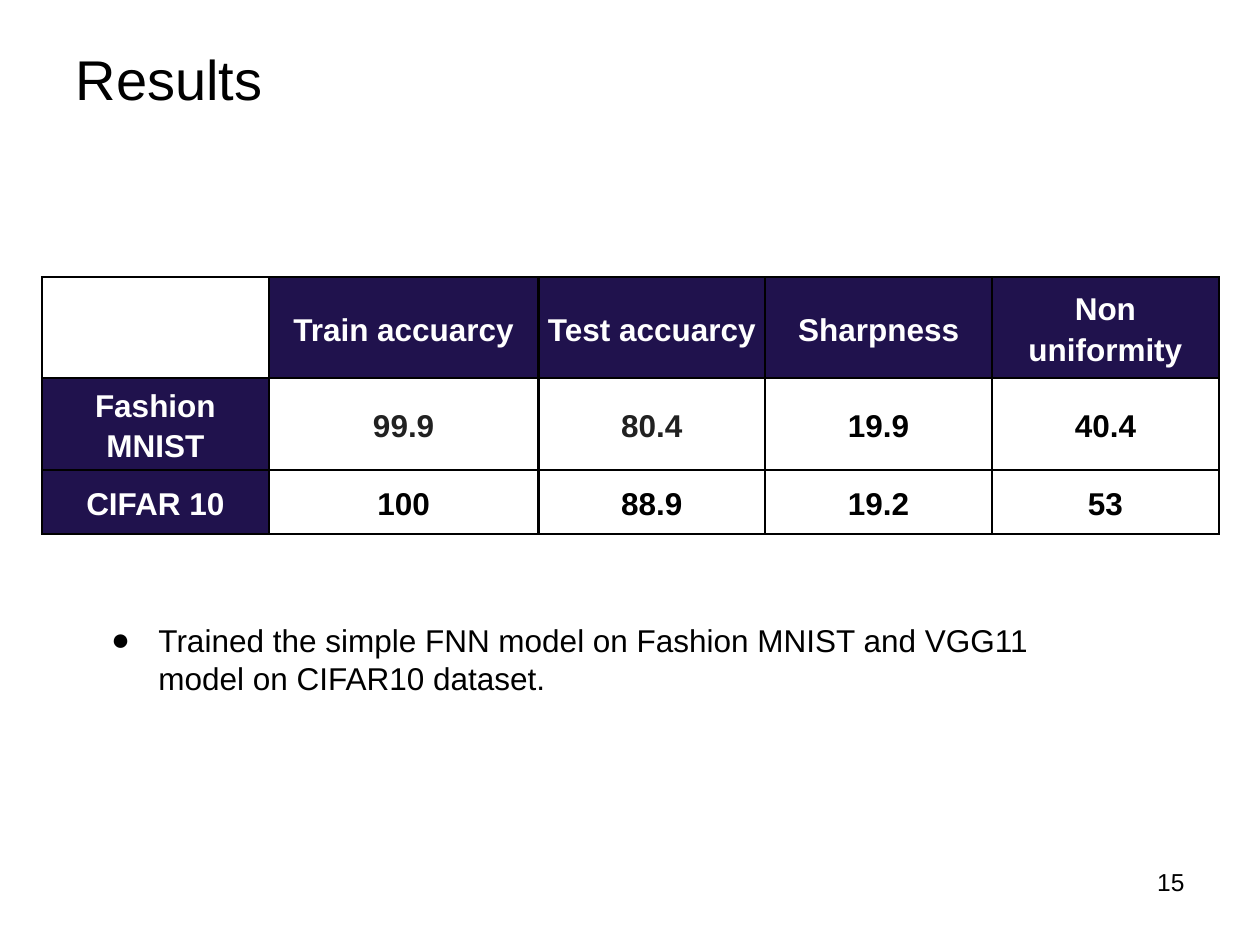
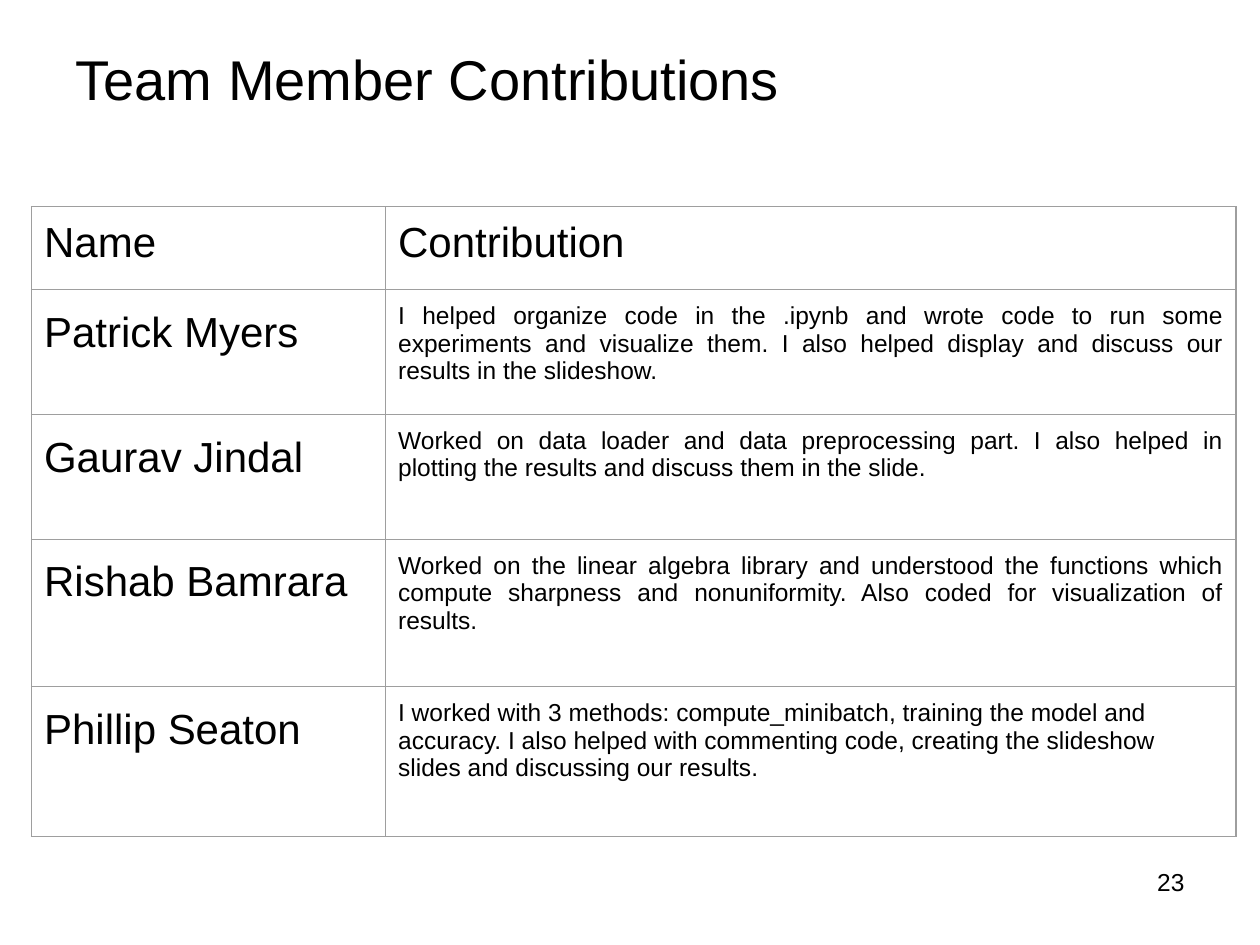
import pptx
import pptx.dml.color
import pptx.enum.text
import pptx.oxml
import pptx.oxml.ns
import pptx.util
from lxml import etree

Pt = pptx.util.Pt
ALIGN = pptx.enum.text.PP_ALIGN
ANCHOR = pptx.enum.text.MSO_ANCHOR

FONT = "Arial"
BLACK, WHITE, NAVY, CHARCOAL, GREY = "000000", "FFFFFF", "20124D", "212121", "9E9E9E"
BOX_INSETS = (7.2, 3.6)
ROOMY_INSETS = (7.2, 7.2)
TIGHT_INSETS = (2.16, 1.44)

RESULTS = [
    ["", "Train accuarcy", "Test accuarcy", "Sharpness", "Non uniformity"],
    ["Fashion MNIST", "99.9", "80.4", "19.9", "40.4"],
    ["CIFAR 10", "100", "88.9", "19.2", "53"],
]
CHARCOAL_VALUES = ("99.9", "80.4")
RESULTS_NOTE = "Trained the simple FNN model on Fashion MNIST and VGG11 model on CIFAR10 dataset."

CONTRIBUTIONS = [
    ["Name", "Contribution"],
    ["Patrick Myers", "I helped organize code in the .ipynb and wrote code to run some experiments "
     "and visualize them. I also helped display and discuss our results in the slideshow."],
    ["Gaurav Jindal", "Worked on data loader and data preprocessing part. I also helped in "
     "plotting the results and discuss them in the slide."],
    ["Rishab Bamrara", "Worked on the linear algebra library and understood the functions which "
     "compute sharpness and nonuniformity. Also coded for visualization of results."],
    ["Phillip Seaton", "I worked with 3 methods: compute_minibatch, training the model and "
     "accuracy. I also helped with commenting code, creating the slideshow slides and "
     "discussing our results."],
]


def colour(code):
    """Turn a hex string into a colour."""
    return pptx.dml.color.RGBColor.from_string(code)


def write(frame, text, size=18, ink=BLACK, bold=False, align=ALIGN.LEFT, insets=BOX_INSETS,
          before=None, spacing=None):
    """Put one formatted paragraph into a text frame or table cell and return it."""
    across, down = (Pt(inset) for inset in insets)
    holder = frame
    if hasattr(frame, "text_frame"):
        frame = holder.text_frame
    else:
        frame.word_wrap = True
        frame.auto_size = pptx.enum.text.MSO_AUTO_SIZE.NONE
        frame.vertical_anchor = ANCHOR.TOP
    holder.margin_left = holder.margin_right = across
    holder.margin_top = holder.margin_bottom = down
    para = frame.paragraphs[0]
    para.alignment = align
    if spacing:
        para.line_spacing = spacing
    if before is not None:
        para.space_before = Pt(before)
    span = para.add_run()
    span.text = text
    span.font.name, span.font.size, span.font.bold = FONT, Pt(size), bold
    span.font.color.rgb = colour(ink)
    return para


def add_box(page, place, text, **look):
    """Add a text box and return its paragraph."""
    box = page.shapes.add_textbox(*(Pt(length) for length in place))
    return write(box.text_frame, text, **look)


def add_bullet(para, sign, left, hanging):
    """Give a paragraph a bullet with a hanging indent."""
    props = para._p.get_or_add_pPr()
    props.set("marL", str(Pt(left)))
    props.set("indent", str(Pt(-hanging)))
    tint = etree.SubElement(props, pptx.oxml.ns.qn("a:buClr"))
    etree.SubElement(tint, pptx.oxml.ns.qn("a:srgbClr"), val=BLACK)
    etree.SubElement(props, pptx.oxml.ns.qn("a:buFont"), typeface=FONT)
    etree.SubElement(props, pptx.oxml.ns.qn("a:buChar"), char=sign)


def add_borders(cell, ink, width):
    """Draw the same line on all four sides of a cell."""
    props = cell._tc.get_or_add_tcPr()
    for side in ("lnL", "lnR", "lnT", "lnB"):
        line = etree.SubElement(props, pptx.oxml.ns.qn(f"a:{side}"), w=str(Pt(width)))
        fill = etree.SubElement(line, pptx.oxml.ns.qn("a:solidFill"))
        etree.SubElement(fill, pptx.oxml.ns.qn("a:srgbClr"), val=ink)


def add_grid(page, corner, widths, heights, rows, border, style):
    """Add a table; style gives the fill, anchor and text format of each cell."""
    lengths = (*corner, sum(widths), sum(heights))
    grid = page.shapes.add_table(len(rows), len(widths), *(Pt(n) for n in lengths)).table
    grid.first_row = grid.horz_banding = False
    for column, width in zip(grid.columns, widths):
        column.width = Pt(width)
    for row, height in zip(grid.rows, heights):
        row.height = Pt(height)
    for r, texts in enumerate(rows):
        for c, text in enumerate(texts):
            cell = grid.cell(r, c)
            fill, anchor, look = style(r, c, text)
            add_borders(cell, *border)
            cell.fill.solid()
            cell.fill.fore_color.rgb = colour(fill)
            cell.vertical_anchor = anchor
            if text:
                write(cell, text, **look)


def result_style(row, column, text):
    """Style a results cell: navy headings, white values."""
    heading = bool(text) and (row == 0 or column == 0)
    ink = WHITE if heading else CHARCOAL if text in CHARCOAL_VALUES else BLACK
    look = dict(ink=ink, bold=True, align=ALIGN.CENTER, insets=TIGHT_INSETS, spacing=1.15)
    return NAVY if heading else WHITE, ANCHOR.MIDDLE, look


def contribution_style(row, column, text):
    """Style a contributions cell: large names, small justified descriptions."""
    look = dict(size=24, insets=ROOMY_INSETS)
    if row and column:
        last = row == len(CONTRIBUTIONS) - 1
        look.update(size=14, align=ALIGN.LEFT if last else ALIGN.JUSTIFY)
    elif row:
        look.update(spacing=1.15)
    return WHITE, ANCHOR.TOP, look


def add_page(deck, title, title_height, number):
    """Add a page with its title and page number."""
    page = deck.slides.add_slide(deck.slide_layouts[5])
    head = page.shapes.title
    head.left, head.top, head.width, head.height = Pt(36), Pt(21.6), Pt(648), Pt(title_height)
    write(head.text_frame, title, size=32, before=3.6)
    add_box(page, (516.24, 491.76, 167.76, 37.44), number, size=14, align=ALIGN.RIGHT)
    return page


def main():
    """Build the deck."""
    deck = pptx.Presentation()
    deck.slide_width, deck.slide_height = Pt(720), Pt(540)

    page = add_page(deck, "Results", 84.24, "15")
    add_grid(page, (24, 158.4), [129.6, 154.08] + [129.6] * 3, [57.6, 52.56, 36.72],
             RESULTS, (BLACK, 1.5), result_style)
    note = add_box(page, (47.52, 347.76, 592.56, 75.6), RESULTS_NOTE, insets=ROOMY_INSETS)
    add_bullet(note, "●", 36, 27)

    page = add_page(deck, "Team Member Contributions", 54, "23")
    add_grid(page, (18, 118.08), [202.32, 486], [47.52, 71.28, 71.28, 84.24, 85.68],
             CONTRIBUTIONS, (GREY, 0.75), contribution_style)

    deck.save("out.pptx")


if __name__ == "__main__":
    main()
